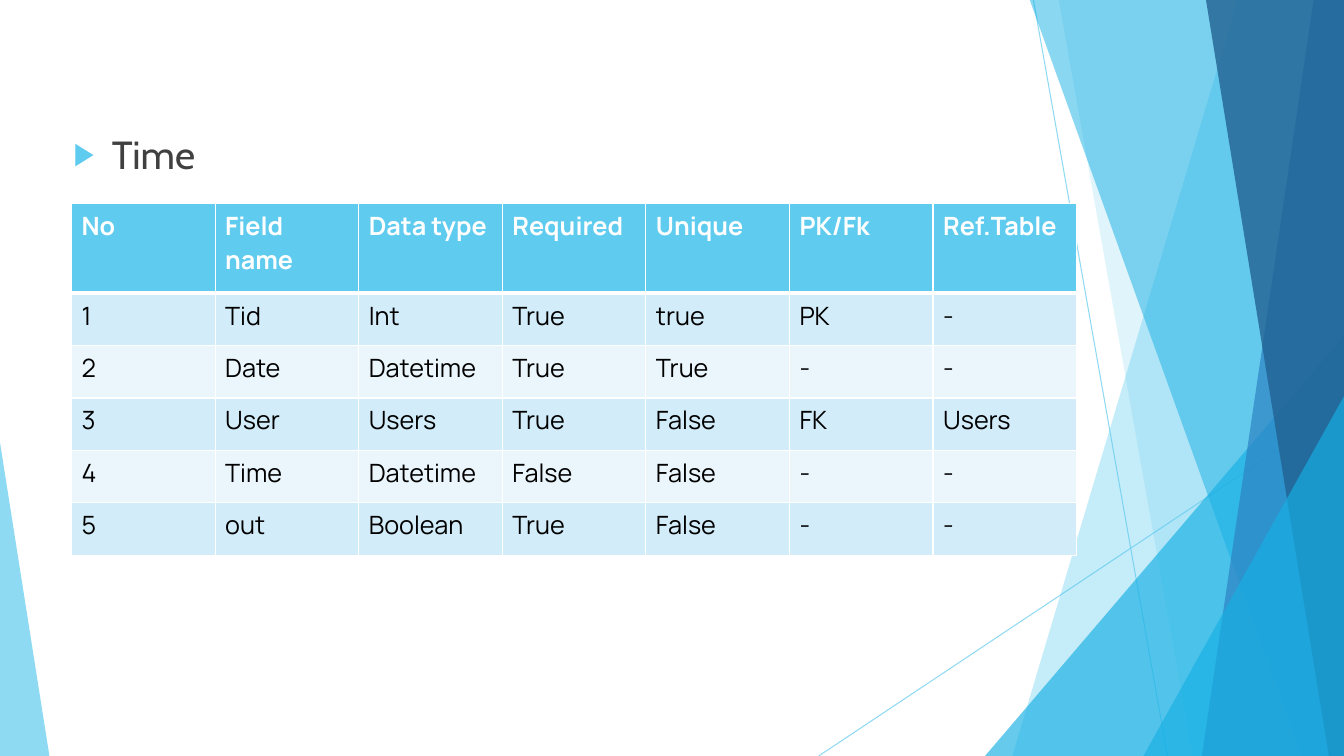
from lxml.etree import SubElement as Sub
from pptx import Presentation
from pptx.dml.color import RGBColor
from pptx.enum.shapes import MSO_CONNECTOR as Link, MSO_SHAPE as Kind
from pptx.enum.text import MSO_ANCHOR as Anchor
from pptx.oxml.ns import qn
from pptx.util import Inches, Pt

SKY, AQUA, WHITE = "5FCBEF", "17B0E4", "FFFFFF"
LINES = [(10.25, 0, 11.58, 7.5), (13.33, 4.03, 8.12, 7.5)]
BANDS = [(12.28, 10.04, SKY, 36), (10.5, 11.83, SKY, 20)]
PANES = [(10.21, 12.91, AQUA, 50), (13.03, 11.92, "2E83C3", 70),
         (11.96, 13.18, "226292", 80)]
ROWS = [
    ["No", "Field name", "Data type", "Required", "Unique", "PK/Fk", "Ref.Table"],
    ["1", "Tid", "Int", "True", "true", "PK", "-"],
    ["2", "Date", "Datetime", "True", "True", "-", "-"],
    ["3", "User", "Users", "True", "False", "FK", "Users"],
    ["4", "Time", "Datetime", "False", "False", "-", "-"],
    ["5", "out", "Boolean", "True", "False", "-", "-"],
]


def tint(color, code):
    color.rgb = RGBColor.from_string(code)


def fade(shape, alpha):
    for color in shape.element.spPr.iter(qn("a:srgbClr")):
        Sub(color, qn("a:alpha"), val=str(alpha * 1000))


def style(font, code, **form):
    for key, value in form.items():
        setattr(font, key, value)
    tint(font.color, code)


def paint(shape, code, alpha):
    shape.shadow.inherit = False
    shape.fill.solid()
    tint(shape.fill.fore_color, code)
    shape.line.fill.background()
    fade(shape, alpha)


def add_line(slide, ends):
    line = slide.shapes.add_connector(Link.STRAIGHT, *map(Inches, ends))
    tint(line.line.color, SKY)
    line.line.width = Pt(0.75)
    fade(line, 70)
    Sub(line.element.spPr, qn("a:effectLst"))


def add_band(slide, top, base, code, alpha):
    points = [(13.33, -0.01), (13.33, 7.5), (base, 7.5)]
    form = slide.shapes.build_freeform(Inches(top), Inches(-0.01), 1.0)
    form.add_line_segments([(Inches(x), Inches(y)) for x, y in points])
    paint(form.convert_to_shape(), code, alpha)


def add_wedge(slide, box, tip, code, alpha):
    wedge = slide.shapes.add_shape(Kind.ISOSCELES_TRIANGLE, *map(Inches, box))
    wedge.adjustments[0] = tip
    paint(wedge, code, alpha)


def add_decor(slide):
    for ends in LINES:
        add_line(slide, ends)
    for band in BANDS:
        add_band(slide, *band)
    add_wedge(slide, (9.77, 3.33, 3.56, 4.17), 1, AQUA, 66)
    for pane in PANES:
        add_band(slide, *pane)
    add_wedge(slide, (11.34, 3.93, 1.99, 3.57), 1, AQUA, 66)
    add_wedge(slide, (0, 4.39, 0.49, 3.11), 0, SKY, 70)


def fill_body(body, text):
    place = dict(left=0.63, top=1.24, width=9.4, height=4.24)
    for key, value in place.items():
        setattr(body, key, Inches(value))
    frame = body.text_frame
    frame.vertical_anchor = Anchor.TOP
    frame.text = text
    para = frame.paragraphs[0]
    para.space_before = Pt(0)
    props = para._p.get_or_add_pPr()
    props.set("marL", str(Inches(0.38)))
    props.set("indent", str(Inches(-0.38)))
    Sub(Sub(props, qn("a:buClr")), qn("a:srgbClr"), val=SKY)
    Sub(props, qn("a:buSzPct"), val="80000")
    Sub(props, qn("a:buChar"), char="▶")
    style(para.font, "404040", name="Cabin", size=Pt(28))


def add_edge(cell, side, width):
    props = cell._tc.get_or_add_tcPr()
    edge = Sub(props, qn("a:ln" + side), w=str(Pt(width)))
    Sub(Sub(edge, qn("a:solidFill")), qn("a:srgbClr"), val=WHITE)


def fill_cell(cell, text, row):
    heavy = {(0, "B"), (1, "T")}
    for side in "LRTB":
        add_edge(cell, side, 3 if (row, side) in heavy else 1)
    cell.fill.solid()
    shade = "D2ECF9" if row % 2 else "EAF6FC"
    tint(cell.fill.fore_color, shade if row else SKY)
    cell.text = text
    style(cell.text_frame.paragraphs[0].font, "000000" if row else WHITE,
          name="Manrope", size=Pt(18), bold=row == 0)


def add_grid(slide):
    box = map(Inches, (0.71, 2.02, 9.97, 3.47))
    grid = slide.shapes.add_table(len(ROWS), len(ROWS[0]), *box).table
    for row, texts in enumerate(ROWS):
        grid.rows[row].height = Inches(0.52 if row else 0.89)
        for col, text in enumerate(texts):
            fill_cell(grid.cell(row, col), text, row)


def main():
    deck = Presentation()
    deck.slide_width, deck.slide_height = Inches(13.33), Inches(7.5)
    slide = deck.slides.add_slide(deck.slide_layouts[1])
    title, body = slide.placeholders
    tree = title.element.getparent()
    tree.remove(title.element)
    add_decor(slide)
    fill_body(body, "Time")
    tree.append(body.element)
    add_grid(slide)
    deck.save("out.pptx")


if __name__ == "__main__":
    main()
